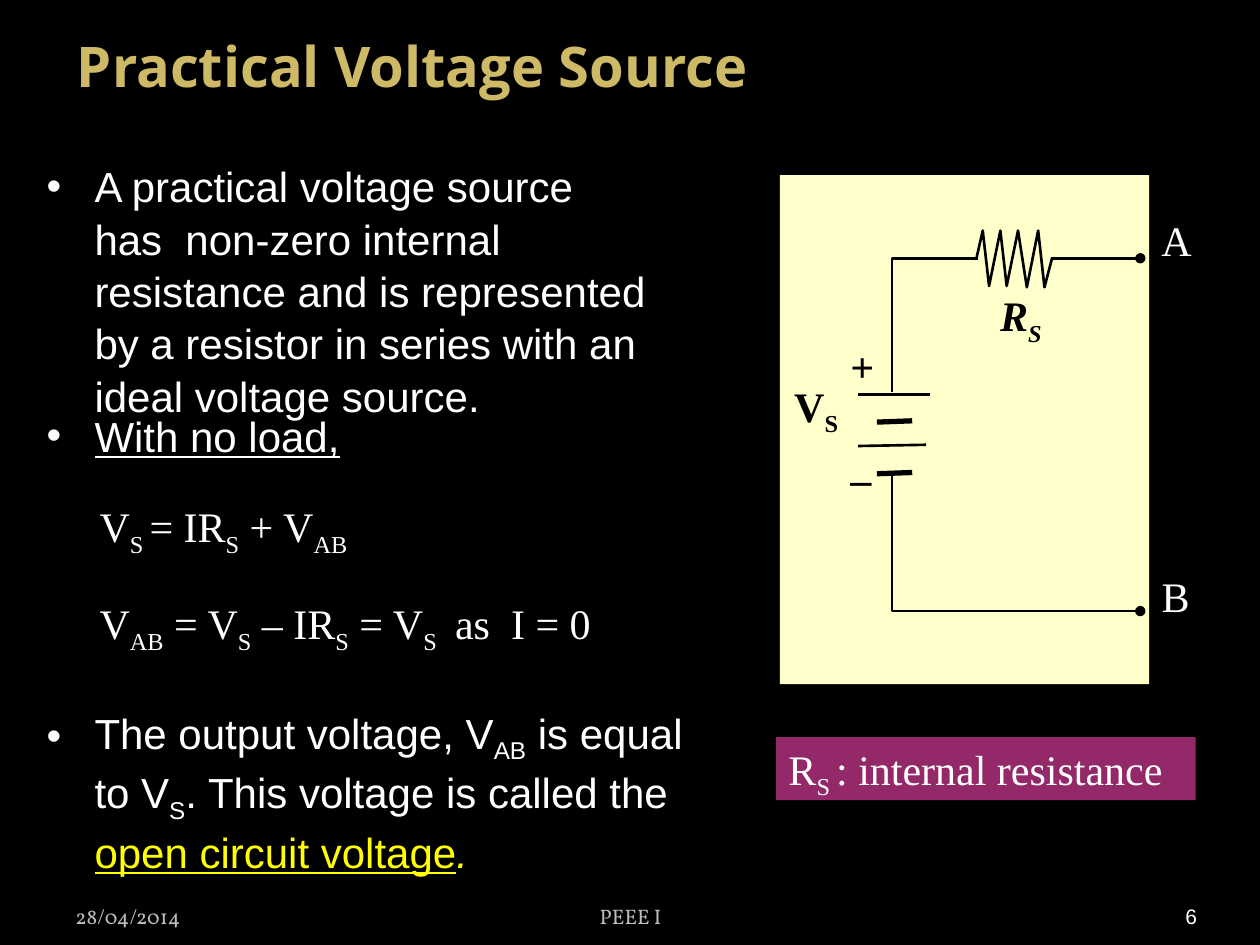
import pptx
import pptx.util
import pptx.dml.color
import pptx.enum.shapes
import pptx.enum.text
import pptx.oxml.ns
from lxml import etree

Inches, Pt = pptx.util.Inches, pptx.util.Pt
RGBColor = pptx.dml.color.RGBColor
ALIGN, ANCHOR = pptx.enum.text.PP_ALIGN, pptx.enum.text.MSO_ANCHOR
qn = pptx.oxml.ns.qn

BLACK = RGBColor(0x00, 0x00, 0x00)
WHITE = RGBColor(0xFF, 0xFF, 0xFF)
GOLD = RGBColor(0xCE, 0xB9, 0x66)
GREY = RGBColor(0xBD, 0xBD, 0xBD)
YELLOW = RGBColor(0xFF, 0xFF, 0x00)
CREAM = RGBColor(0xFF, 0xFF, 0xCC)
PURPLE = RGBColor(0x93, 0x29, 0x68)
SERIF, SANS = "Times New Roman", "Arial"


def write(p, text, font=SERIF, size=24, color=WHITE, bold=False, italic=False):
    """Fill a paragraph; every second part between bars is a subscript."""
    f = p.font
    f.name, f.size, f.bold, f.italic = font, Pt(size), bold, italic
    f.color.rgb = color
    for i, part in enumerate(text.split("|")):
        r = p.add_run()
        r.text = part
        if i % 2:
            r._r.get_or_add_rPr().set("baseline", "-25000")


def place(sp, box, anchor=ANCHOR.TOP, wrap=True):
    """Position a text shape and return its text frame."""
    sp.left, sp.top, sp.width, sp.height = map(Inches, box)
    tf = sp.text_frame
    tf.auto_size = pptx.enum.text.MSO_AUTO_SIZE.NONE
    tf.vertical_anchor, tf.word_wrap = anchor, wrap
    return tf


prs = pptx.Presentation()
prs.slide_width, prs.slide_height = Inches(10), Inches(7.5)
s = prs.slides.add_slide(prs.slide_layouts[3])
s.background.fill.solid()
s.background.fill.fore_color.rgb = BLACK
title, definition, no_load = list(s.placeholders)[:3]

# Title
p = place(title, (0.35, 0.01, 5.85, 1.01), ANCHOR.MIDDLE).paragraphs[0]
p.alignment = ALIGN.CENTER
write(p, "Practical Voltage Source", "Open Sans", 32, GOLD, True)

# Definition
p = place(definition, (0.27, 1.21, 4.98, 2.12)).paragraphs[0]
write(p, "A practical voltage source has  non-zero internal resistance and is "
         "represented by a resistor in series with an ideal voltage source.", SANS)

# No-load case: bullets in sans, equations in serif without bullets
tf = place(no_load, (0.27, 3.19, 5.25, 3.53))
lines = [
    ("With no load,", SANS, 0),
    ("V|S |= IR|S| + V|AB", SERIF, 21.5),
    ("V|AB| = V|S| – IR|S| = V|S   |as  I = 0", SERIF, 21.5),
    ("The output voltage, V|AB| is equal to V|S|. This voltage is called the ", SANS, 28.5),
]
for i, (text, font, gap) in enumerate(lines):
    p = tf.add_paragraph() if i else tf.paragraphs[0]
    write(p, text, font)
    p.space_before = Pt(gap)
tf.paragraphs[0].runs[0].font.underline = True
for text in ("open circuit voltage", "."):
    r = p.add_run()
    r.text = text
    r.font.color.rgb = YELLOW
    r.font.underline = text != "."
    r.font.italic = text == "."

# Shared bullet indents and line spacing
for p in [*definition.text_frame.paragraphs, *tf.paragraphs]:
    p.line_spacing = 1.04
    if p.space_before is None:
        p.space_before = Pt(0)
    equation = p.font.name == SERIF
    pPr = p._p.get_or_add_pPr()
    pPr.set("marL", str(Inches(0.42 if equation else 0.38)))
    pPr.set("indent", str(Inches(0 if equation else -0.38)))
    bullet = etree.Element(qn("a:buNone" if equation else "a:buChar"))
    if not equation:
        bullet.set("char", "•")
    pPr.find(qn("a:defRPr")).addprevious(bullet)

# Circuit panel and caption
panels = []
for box, color in [((6.19, 1.39, 2.93, 4.04), CREAM), ((6.16, 5.85, 3.33, 0.5), PURPLE)]:
    sp = s.shapes.add_shape(pptx.enum.shapes.MSO_SHAPE.RECTANGLE, *map(Inches, box))
    sp.shadow.inherit = False
    sp.fill.solid()
    sp.fill.fore_color.rgb = color
    sp.line.fill.background()
    panels.append((sp, box))
p = place(*panels[1]).paragraphs[0]
p.alignment = ALIGN.LEFT
write(p, "R|S |: internal resistance")

# Battery plates and lead to terminal A: start, end, width, terminal dot
wires = []
for x1, y1, x2, y2, width, dot in [
    (7.38, 3.13, 6.81, 3.13, 1.5, False),
    (7.24, 3.34, 6.96, 3.35, 3, False),
    (7.35, 3.53, 6.81, 3.54, 1.5, False),
    (7.24, 3.75, 6.96, 3.76, 3, False),
    (8.34, 2.05, 9.05, 2.05, 1.5, True),
]:
    c = s.shapes.add_connector(pptx.enum.shapes.MSO_CONNECTOR.STRAIGHT,
                               *map(Inches, (x1, y1, x2, y2)))
    etree.SubElement(c._element.spPr, qn("a:effectLst"))
    wires.append((c, width, dot))

# Bent leads and resistor zigzag
resistor = [(7.75, 2.05), (7.8, 1.83), (7.85, 2.27), (7.94, 1.83), (7.99, 2.27),
            (8.08, 1.83), (8.15, 2.28), (8.24, 1.83), (8.29, 2.28), (8.35, 2.05)]
for points, dot in [
    ([(7.08, 3.11), (7.08, 2.05), (7.76, 2.05)], False),
    ([(7.08, 3.78), (7.08, 4.85), (9.05, 4.85)], True),
    (resistor, False),
]:
    points = [(Inches(x), Inches(y)) for x, y in points]
    fb = s.shapes.build_freeform(*points[0])
    fb.add_line_segments(points[1:], close=False)
    sp = fb.convert_to_shape()
    sp.fill.background()
    sp.shadow.inherit = False
    wires.append((sp, 1.5, dot))

for wire, width, dot in wires:
    wire.line.color.rgb = BLACK
    wire.line.width = Pt(width)
    if dot:
        ln = wire._element.spPr.find(qn("a:ln"))
        etree.SubElement(ln, qn("a:tailEnd")).set("type", "oval")

# Circuit labels
for text, box, color, italic, align, wrap in [
    ("V|S", (6.06, 2.97, 0.69, 0.5), BLACK, False, ALIGN.RIGHT, True),
    ("R|S", (7.84, 2.25, 0.57, 0.5), BLACK, True, ALIGN.LEFT, True),
    ("+", (6.65, 2.65, 0.39, 1.3), BLACK, False, ALIGN.LEFT, False),
    ("A", (9.12, 1.65, 0.44, 0.5), WHITE, False, ALIGN.LEFT, False),
    ("B", (9.12, 4.48, 0.42, 0.5), WHITE, False, ALIGN.LEFT, False),
]:
    tf = place(s.shapes.add_textbox(0, 0, 0, 0), box, wrap=wrap)
    p = tf.paragraphs[0]
    p.alignment = align
    write(p, text, color=color, bold=color == BLACK, italic=italic)
    if text == "+":
        p = tf.add_paragraph()
        p.space_before = Pt(27.6)
        write(p, "_", color=color, bold=True)

# Footer
for text, box, font, color, align in [
    ("28/04/2014", (0.5, 7.02, 2.33, 0.4), "Vollkorn", GREY, ALIGN.LEFT),
    ("PEEE I", (3.42, 7.02, 3.17, 0.4), "Vollkorn", GREY, ALIGN.CENTER),
    ("6", (8.67, 7.02, 0.83, 0.4), SANS, WHITE, ALIGN.RIGHT),
]:
    tf = place(s.shapes.add_textbox(0, 0, 0, 0), box, ANCHOR.BOTTOM)
    if text == "6":
        tf.margin_left = tf.margin_right = 0
    p = tf.paragraphs[0]
    p.alignment = align
    write(p, text, font, 12, color)

prs.save("out.pptx")
